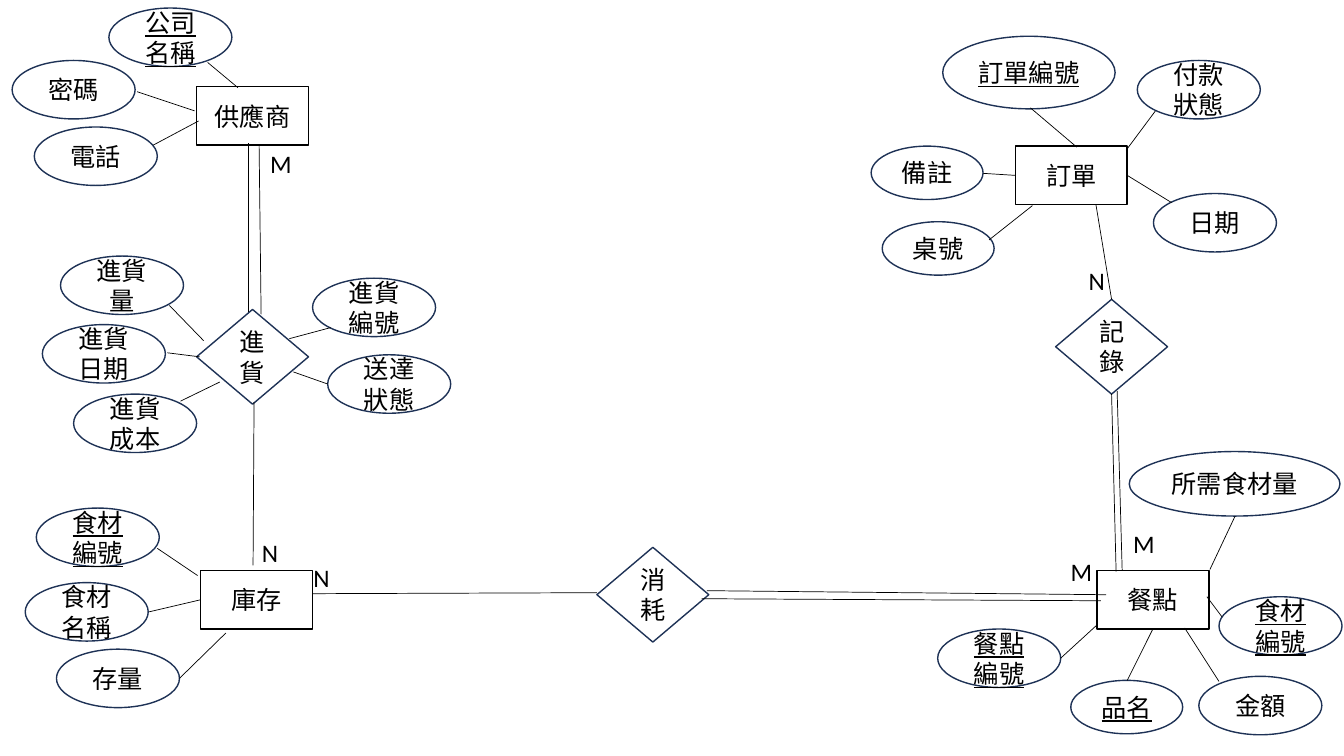
from dataclasses import dataclass
from typing import NamedTuple, Union

from pptx import Presentation
from pptx import util as u
from pptx.dml.color import RGBColor
from pptx.enum import shapes, text
from pptx.oxml.ns import qn
from lxml import etree

BLACK = RGBColor(0x00, 0x00, 0x00)
WHITE = RGBColor(0xFF, 0xFF, 0xFF)
NAVY = RGBColor(0x1E, 0x32, 0x56)
FONT = "Calibri"
TOP, LEFT, BOTTOM, RIGHT = range(4)


@dataclass(frozen=True)
class Entity:
    label: str
    x: float
    y: float
    w: float = 1.11
    h: float = 0.58
    preset: shapes.MSO_SHAPE = shapes.MSO_SHAPE.RECTANGLE
    line: RGBColor = BLACK


@dataclass(frozen=True)
class Relation(Entity):
    h: float = 0.94
    preset: shapes.MSO_SHAPE = shapes.MSO_SHAPE.FLOWCHART_DECISION
    line: RGBColor = NAVY


@dataclass(frozen=True)
class Attribute(Entity):
    w: float = 1.22
    preset: shapes.MSO_SHAPE = shapes.MSO_SHAPE.OVAL
    line: RGBColor = NAVY
    key: bool = False


class Point(NamedTuple):
    x: float
    y: float


class Joint(NamedTuple):
    """The middle of one side of a named entity or relation."""
    label: str
    side: int


class Link(NamedTuple):
    begin: Union[Point, Joint]
    end: Union[Point, Joint]


class Cardinality(NamedTuple):
    label: str
    x: float
    y: float


NODES = [
    Entity("供應商", 1.95, 0.86),
    Entity("庫存", 1.99, 5.66),
    Entity("訂單", 10.07, 1.45),
    Entity("餐點", 10.88, 5.66),
    Relation("進貨", 1.95, 3.07),
    Relation("消耗", 5.92, 5.43),
    Relation("記錄", 10.47, 2.97),
]

ATTRIBUTES = [
    # 供應商
    Attribute("公司名稱", 1.08, 0.08, key=True),
    Attribute("密碼", 0.12, 0.6),
    Attribute("電話", 0.34, 1.26),
    # 進貨
    Attribute("進貨量", 0.6, 2.54),
    Attribute("進貨日期", 0.42, 3.22),
    Attribute("進貨成本", 0.73, 3.91),
    Attribute("進貨編號", 3.1, 2.76),
    Attribute("送達狀態", 3.25, 3.52),
    # 庫存
    Attribute("食材編號", 0.36, 5.04, key=True),
    Attribute("食材名稱", 0.25, 5.78),
    Attribute("存量", 0.56, 6.44),
    # 訂單
    Attribute("訂單編號", 9.35, 0.36, 1.71, 0.72, key=True),
    Attribute("付款狀態", 11.28, 0.6),
    Attribute("備註", 8.64, 1.45, 1.11, 0.53),
    Attribute("桌號", 8.75, 2.2, 1.11, 0.53),
    Attribute("日期", 11.44, 1.92),
    # 餐點
    Attribute("所需食材量", 11.2, 4.48, 2.09, 0.64),
    Attribute("食材編號", 12.09, 5.92, key=True),
    Attribute("餐點編號", 9.3, 6.24, key=True),
    Attribute("品名", 10.62, 6.75, 1.11, 0.53, key=True),
    Attribute("金額", 11.89, 6.71),
]

LINKS = [
    # 供應商
    Link(Point(2.36, 0.87), Point(2.06, 0.62)),
    Link(Point(1.93, 1.1), Point(1.36, 0.91)),
    Link(Point(1.97, 1.2), Point(1.52, 1.44)),
    # 進貨
    Link(Point(2.46, 3.1), Point(2.46, 1.42)),
    Link(Point(2.59, 3.12), Point(2.57, 1.43)),
    Link(Point(2.51, 5.61), Point(2.52, 3.99)),
    Link(Point(2.02, 3.38), Point(1.68, 3.03)),
    Link(Point(1.98, 3.54), Point(1.66, 3.5)),
    Link(Point(1.79, 3.98), Point(2.18, 3.79)),
    Link(Point(3.28, 3.25), Point(2.87, 3.36)),
    Link(Point(3.25, 3.81), Point(2.91, 3.69)),
    # 庫存
    Link(Point(1.96, 5.71), Point(1.56, 5.44)),
    Link(Point(1.48, 6.07), Joint("庫存", LEFT)),
    Link(Point(1.78, 6.73), Point(2.24, 6.28)),
    # 消耗
    Link(Point(3.1, 5.89), Point(5.92, 5.88)),
    Link(Point(7.01, 5.86), Point(10.97, 5.9)),
    Link(Point(6.96, 5.94), Point(10.92, 5.96)),
    # 訂單
    Link(Point(10.68, 1.46), Point(10.22, 1.07)),
    Link(Point(11.17, 1.49), Point(11.46, 1.1)),
    Link(Point(9.75, 1.72), Joint("訂單", LEFT)),
    Link(Point(9.81, 2.38), Point(10.24, 2.04)),
    Link(Joint("訂單", RIGHT), Point(11.62, 2.01)),
    # 記錄
    Link(Joint("記錄", TOP), Point(10.87, 2.03)),
    Link(Joint("記錄", BOTTOM), Point(11.07, 5.67)),
    Link(Point(11.08, 3.88), Point(11.13, 5.66)),
    # 餐點
    Link(Point(12.25, 5.12), Point(12, 5.65)),
    Link(Point(12.12, 6.12), Point(11.97, 5.92)),
    Link(Point(10.88, 6.2), Point(10.52, 6.53)),
    Link(Joint("餐點", BOTTOM), Point(11.18, 6.75)),
    Link(Point(11.75, 6.23), Point(12.09, 6.76)),
]

CARDINALITIES = [
    Cardinality("M", 2.58, 1.42),
    Cardinality("N", 2.5, 5.28),
    Cardinality("N", 3.01, 5.53),
    Cardinality("N", 10.7, 2.58),
    Cardinality("M", 11.14, 5.19),
    Cardinality("M", 10.52, 5.47),
]


def write(sp, label: str, *, align=text.PP_ALIGN.LEFT, anchor=text.MSO_ANCHOR.TOP,
          underline: bool = False) -> None:
    tf = sp.text_frame
    tf.word_wrap = True
    tf.vertical_anchor = anchor
    p = tf.paragraphs[0]
    p.alignment = align
    r = p.add_run()
    r.text = label
    r.font.name, r.font.size = FONT, u.Pt(18)
    r.font.color.rgb = BLACK
    if underline:
        r.font.underline = True


def add_node(s, node: Entity):
    sp = s.shapes.add_shape(node.preset, *map(u.Inches, (node.x, node.y, node.w, node.h)))
    sp.shadow.inherit = False
    sp.fill.solid()
    sp.fill.fore_color.rgb = WHITE
    sp.line.color.rgb, sp.line.width = node.line, u.Pt(1)
    write(sp, node.label, align=text.PP_ALIGN.CENTER, anchor=text.MSO_ANCHOR.MIDDLE,
          underline=isinstance(node, Attribute) and node.key)
    return sp


def add_link(s, link: Link, nodes: dict) -> None:
    """Draw a line, gluing each end that is a Joint to its node."""
    ends = [e if isinstance(e, Point) else Point(0, 0) for e in link]
    line = s.shapes.add_connector(shapes.MSO_CONNECTOR.STRAIGHT,
                                  *(u.Inches(v) for e in ends for v in e))
    for e, connect in zip(link, (line.begin_connect, line.end_connect)):
        if isinstance(e, Joint):
            connect(nodes[e.label], e.side)
    line.line.color.rgb, line.line.width = BLACK, u.Pt(0.5)
    etree.SubElement(line._element.spPr, qn("a:effectLst"))


def add_cardinality(s, mark: Cardinality) -> None:
    sp = s.shapes.add_textbox(*map(u.Inches, (mark.x, mark.y, 0.5, 0.4)))
    write(sp, mark.label)
    sp.text_frame.auto_size = text.MSO_AUTO_SIZE.SHAPE_TO_FIT_TEXT


def main() -> None:
    prs = Presentation()
    prs.slide_width, prs.slide_height = u.Inches(13.33), u.Inches(7.5)
    s = prs.slides.add_slide(prs.slide_layouts[6])
    nodes = {node.label: add_node(s, node) for node in NODES}
    for attribute in ATTRIBUTES:
        add_node(s, attribute)
    for link in LINKS:
        add_link(s, link, nodes)
    for mark in CARDINALITIES:
        add_cardinality(s, mark)
    prs.save("out.pptx")


if __name__ == "__main__":
    main()
